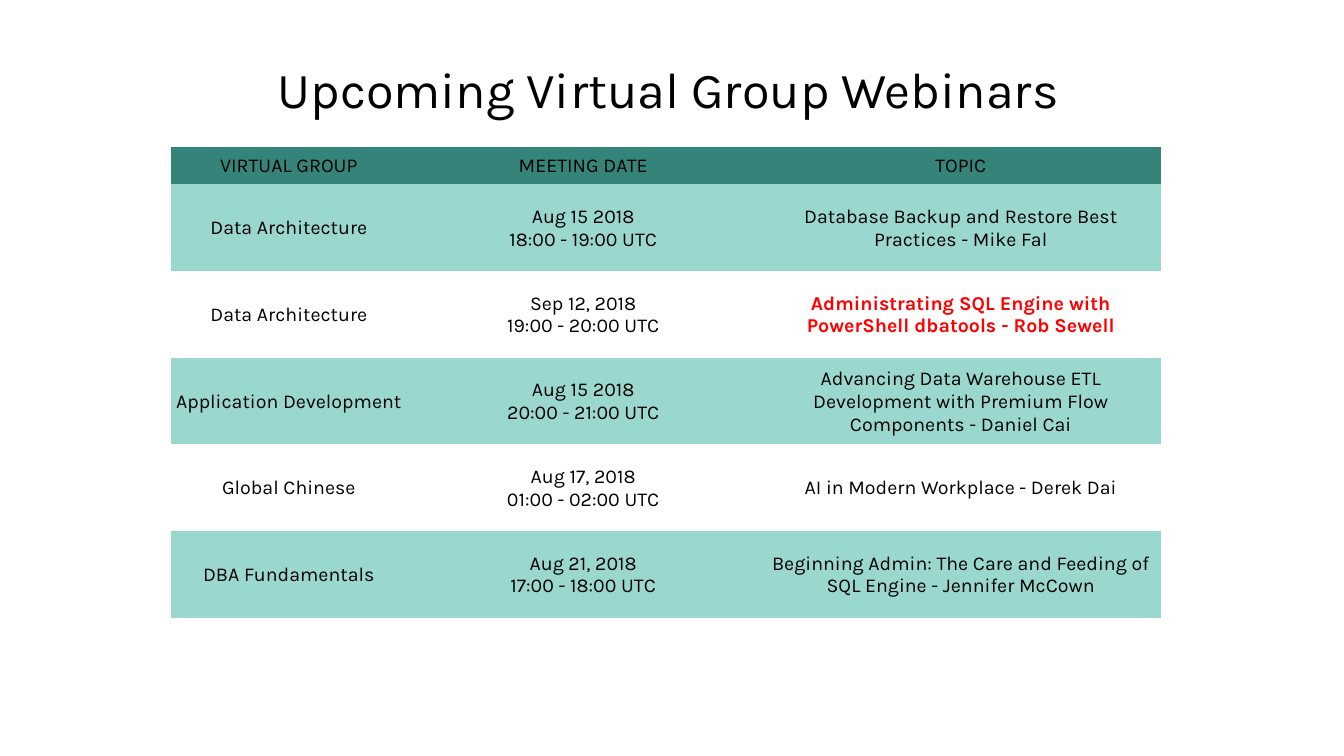
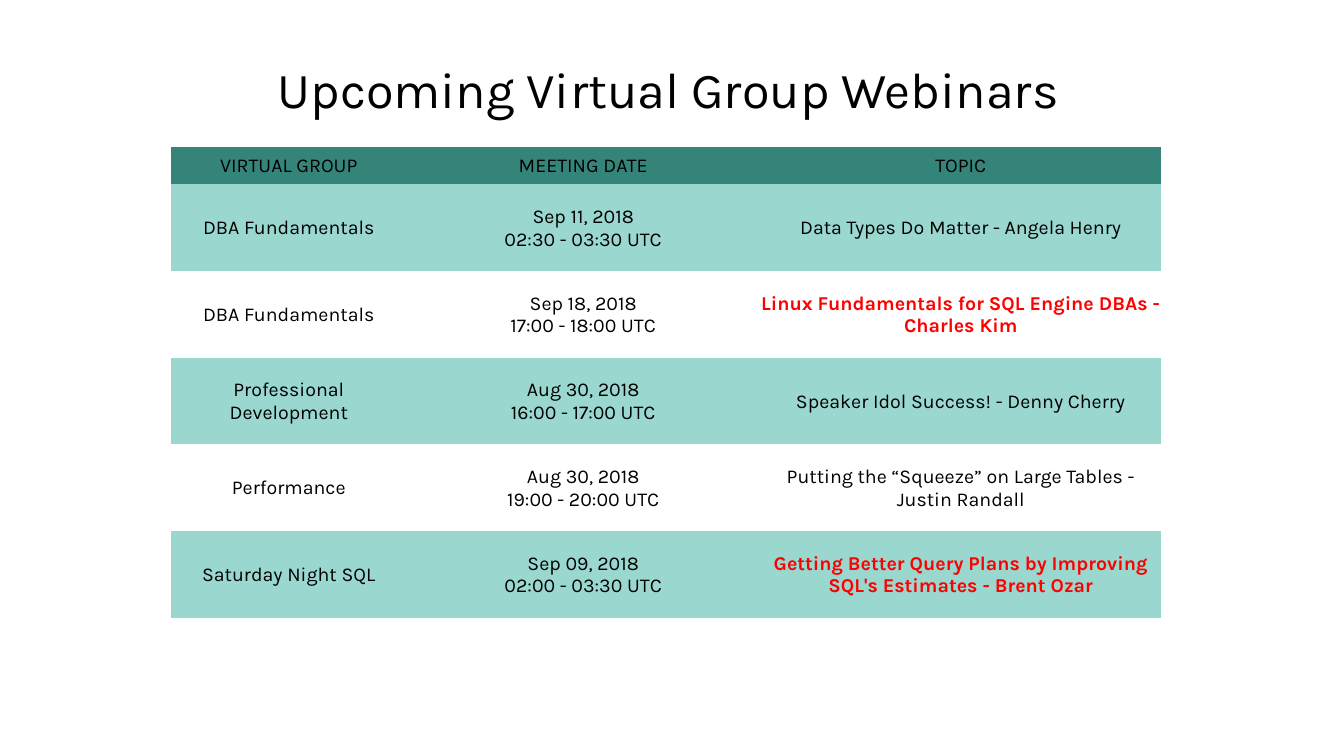
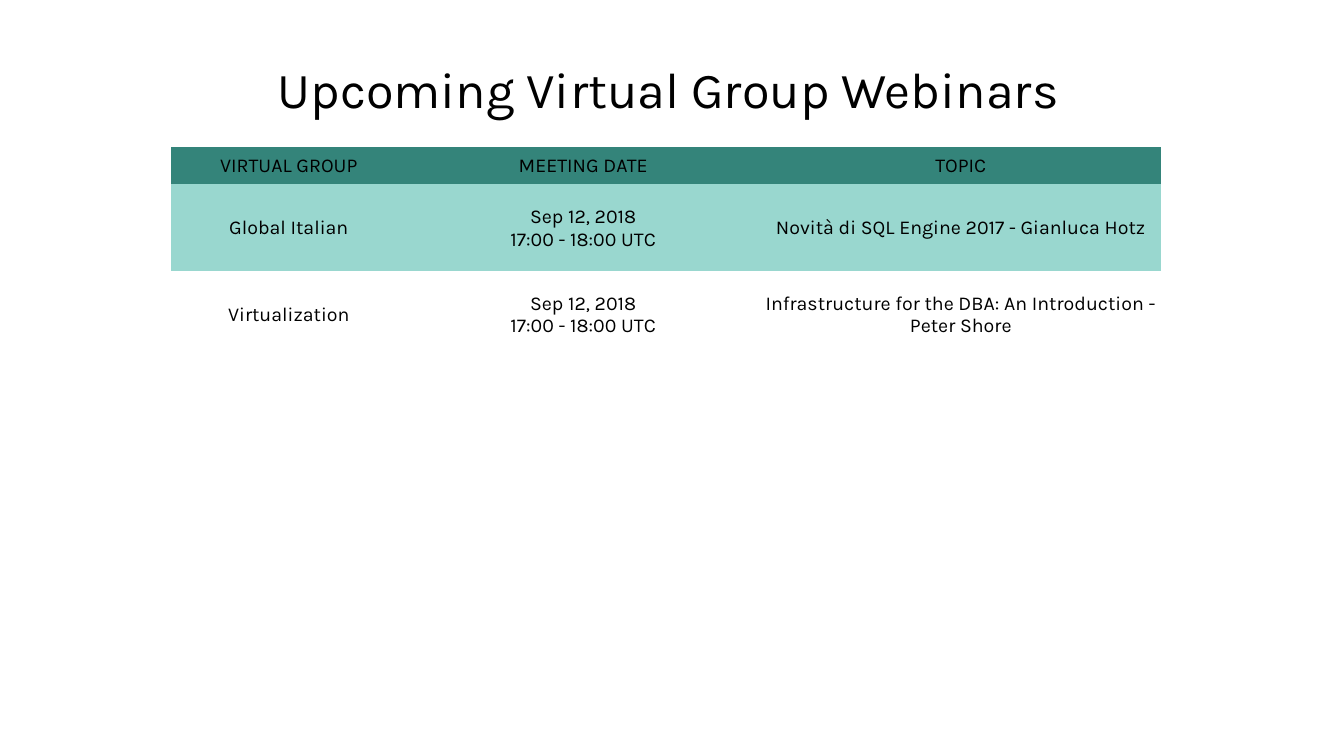
from dataclasses import dataclass
from typing import NamedTuple

from pptx import Presentation
from pptx.dml.color import RGBColor
from pptx.enum.text import MSO_ANCHOR, PP_ALIGN
from pptx.util import Inches, Pt


@dataclass(frozen=True)
class Theme:
    """Colours, type and grid shared by all slides."""
    font: str = "Karla"
    title_size: float = 36
    title_leading: float = 35
    table_size: float = 14
    ink: str = "000000"
    highlight: str = "FF0000"
    header_fill: str = "34847A"
    band_fill: str = "99D7CF"
    slide_size: tuple = (13.33, 7.5)
    title_area: tuple = (0.63, 0.61, 12, 0.75)
    title_insets: tuple = (0.1, 0.08, 0.1, 0.05)
    table_origin: tuple = (1.7, 1.46)
    columns: tuple = (2.33, 3.51, 3.98)
    header_row: float = 0.37
    session_row: float = 0.86
    header_insets: tuple = (0.1, 0.05, 0.1, 0.05)
    session_insets: tuple = (0.01, 0.01, 0.01, 0)


class Session(NamedTuple):
    """One webinar in the schedule."""
    group: str
    date: str
    hours: str
    topic: str
    featured: bool = False


THEME = Theme()
TITLE = "Upcoming Virtual Group Webinars"
HEADINGS = ("VIRTUAL GROUP", "MEETING DATE", "TOPIC")
PLAIN_TABLE_STYLE = "{2D5ABB26-0587-4C30-8999-92F81FD0307C}"

SCHEDULE = (
    (
        Session("Data Architecture", "Aug 15 2018", "18:00 - 19:00 UTC",
                "Database Backup and Restore Best Practices - Mike Fal"),
        Session("Data Architecture", "Sep 12, 2018", "19:00 - 20:00 UTC",
                "Administrating SQL Engine with PowerShell dbatools - Rob Sewell", True),
        Session("Application Development", "Aug 15 2018", "20:00 - 21:00 UTC",
                "Advancing Data Warehouse ETL Development with Premium Flow "
                "Components - Daniel Cai"),
        Session("Global Chinese", "Aug 17, 2018", "01:00 - 02:00 UTC",
                "AI in Modern Workplace - Derek Dai"),
        Session("DBA Fundamentals", "Aug 21, 2018", "17:00 - 18:00 UTC",
                "Beginning Admin: The Care and Feeding of SQL Engine - Jennifer McCown"),
    ),
    (
        Session("DBA Fundamentals", "Sep 11, 2018", "02:30 - 03:30 UTC",
                "Data Types Do Matter - Angela Henry"),
        Session("DBA Fundamentals", "Sep 18, 2018", "17:00 - 18:00 UTC",
                "Linux Fundamentals for SQL Engine DBAs - Charles Kim", True),
        Session("Professional Development", "Aug 30, 2018", "16:00 - 17:00 UTC",
                "Speaker Idol Success! - Denny Cherry"),
        Session("Performance", "Aug 30, 2018", "19:00 - 20:00 UTC",
                "Putting the “Squeeze” on Large Tables - Justin Randall"),
        Session("Saturday Night SQL", "Sep 09, 2018", "02:00 - 03:30 UTC",
                "Getting Better Query Plans by Improving SQL's Estimates - Brent Ozar", True),
    ),
    (
        Session("Global Italian", "Sep 12, 2018", "17:00 - 18:00 UTC",
                "Novità di SQL Engine 2017 - Gianluca Hotz"),
        Session("Virtualization", "Sep 12, 2018", "17:00 - 18:00 UTC",
                "Infrastructure for the DBA: An Introduction - Peter Shore"),
    ),
)


def set_insets(holder, insets):
    """Set the inner margins of a cell or text frame."""
    (holder.margin_left, holder.margin_top,
     holder.margin_right, holder.margin_bottom) = map(Inches, insets)


def write(frame, text, size, color=THEME.ink, bold=False):
    """Write centred text, one paragraph for each line."""
    frame.text = text
    for line in frame.paragraphs:
        line.alignment = PP_ALIGN.CENTER
        line.font.name = THEME.font
        line.font.size = Pt(size)
        line.font.bold = bold
        line.font.color.rgb = RGBColor.from_string(color)


def add_title(slide):
    """Add the slide title."""
    heading = slide.shapes.add_textbox(*map(Inches, THEME.title_area)).text_frame
    heading.word_wrap = True
    heading.vertical_anchor = MSO_ANCHOR.TOP
    set_insets(heading, THEME.title_insets)
    write(heading, TITLE, THEME.title_size)
    heading.paragraphs[0].line_spacing = Pt(THEME.title_leading)


def fill_cell(cell, text, insets, fill=None, color=THEME.ink, bold=False):
    """Fill one table cell with text and an optional background."""
    cell.vertical_anchor = MSO_ANCHOR.MIDDLE
    set_insets(cell, insets)
    if fill:
        cell.fill.solid()
        cell.fill.fore_color.rgb = RGBColor.from_string(fill)
    else:
        cell.fill.background()
    write(cell.text_frame, text, THEME.table_size, color, bold)


def add_schedule(slide, sessions):
    """Add the table of sessions with alternating bands."""
    heights = [THEME.header_row] + [THEME.session_row] * len(sessions)
    frame = slide.shapes.add_table(
        len(heights), len(HEADINGS), *map(Inches, THEME.table_origin),
        Inches(sum(THEME.columns)), Inches(sum(heights)))
    schedule = frame.table
    schedule.first_row = schedule.horz_banding = False
    schedule._tbl.tblPr[0].text = PLAIN_TABLE_STYLE
    for column, width in zip(schedule.columns, THEME.columns):
        column.width = Inches(width)
    for row, height in zip(schedule.rows, heights):
        row.height = Inches(height)
    for cell, heading in zip(schedule.rows[0].cells, HEADINGS):
        fill_cell(cell, heading, THEME.header_insets, THEME.header_fill)
    for number, session in enumerate(sessions, 1):
        band = THEME.band_fill if number % 2 else None
        group, meeting, topic = schedule.rows[number].cells
        fill_cell(group, session.group, THEME.session_insets, band)
        fill_cell(meeting, f"{session.date}\n{session.hours}", THEME.session_insets, band)
        fill_cell(topic, session.topic, THEME.session_insets, band,
                  THEME.highlight if session.featured else THEME.ink, session.featured)


def main():
    """Build and save the presentation."""
    deck = Presentation()
    deck.slide_width, deck.slide_height = map(Inches, THEME.slide_size)
    for sessions in SCHEDULE:
        slide = deck.slides.add_slide(deck.slide_layouts[6])
        add_title(slide)
        add_schedule(slide, sessions)
    deck.save("out.pptx")


if __name__ == "__main__":
    main()
